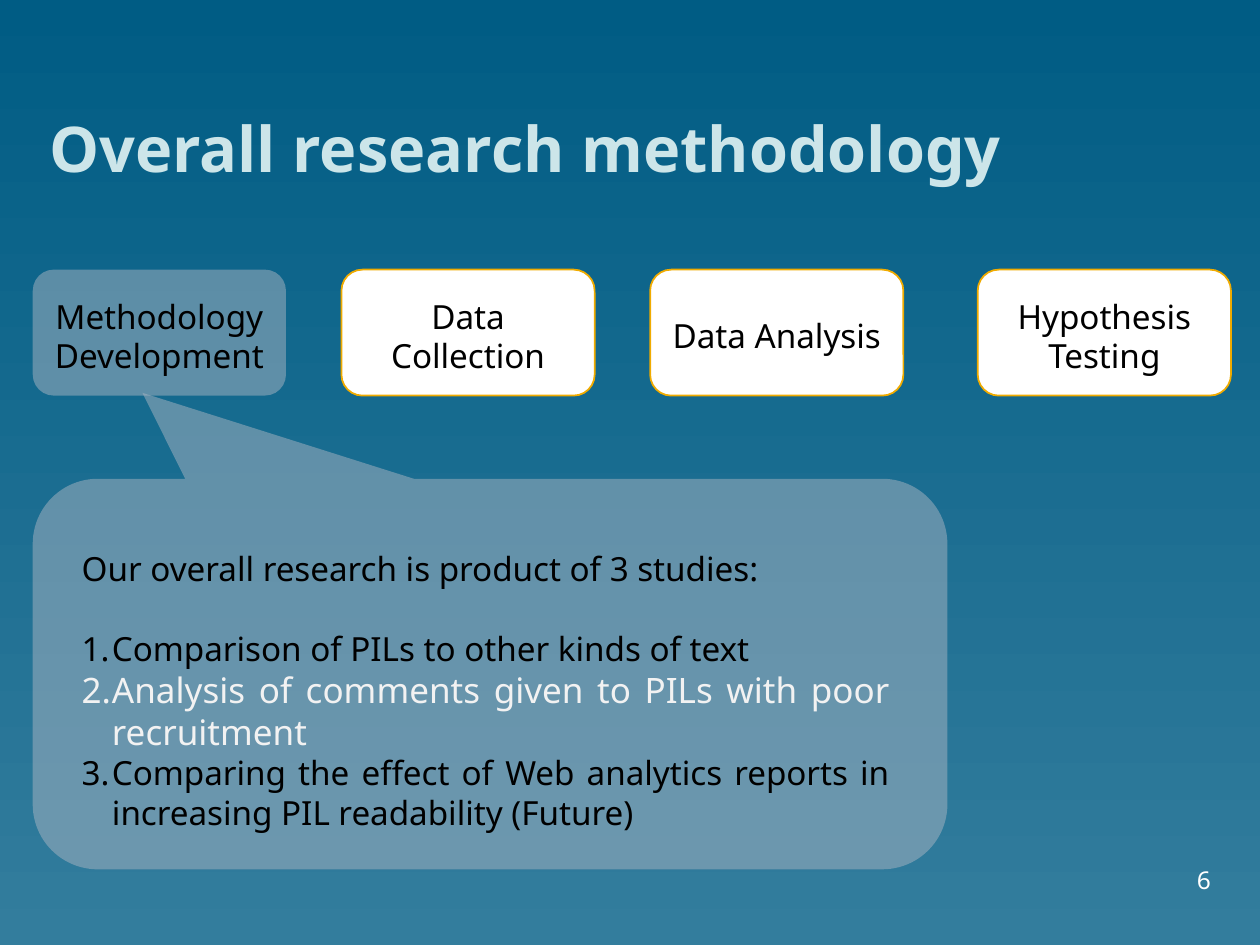
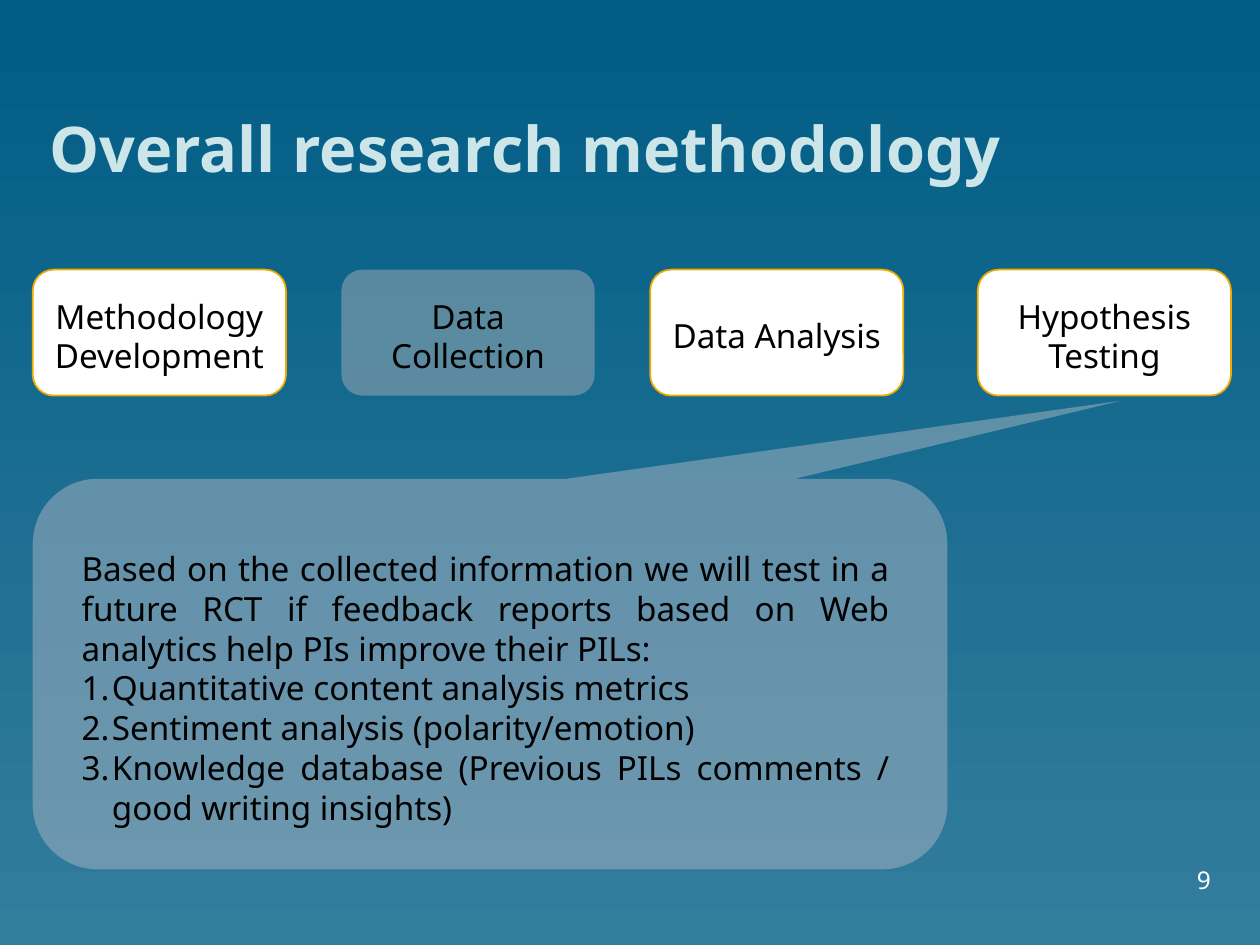
"""Build two slides that step through the overall research methodology."""
from lxml import etree
from pptx import Presentation
from pptx.dml.color import RGBColor
from pptx.enum.shapes import MSO_SHAPE
from pptx.enum.text import MSO_ANCHOR, PP_ALIGN
from pptx.oxml.ns import qn
from pptx.util import Inches, Pt

ROUND = MSO_SHAPE.ROUNDED_RECTANGLE
BUBBLE = MSO_SHAPE.ROUNDED_RECTANGULAR_CALLOUT
TOP, MIDDLE, BOTTOM = MSO_ANCHOR.TOP, MSO_ANCHOR.MIDDLE, MSO_ANCHOR.BOTTOM
LEFT, CENTER = PP_ALIGN.LEFT, PP_ALIGN.CENTER
RIGHT, JUSTIFY = PP_ALIGN.RIGHT, PP_ALIGN.JUSTIFY

FONT = "Noto Sans"
BLACK, WHITE, PALE = "000000", "FFFFFF", "F2F2F2"
MINT, GOLD, HAZE = "CCE5E9", "F0AB00", "AAB5C2"
SIZE = 19
STEPS = [
    (0.26, "Methodology Development"),
    (2.71, "Data Collection"),
    (5.16, "Data Analysis"),
    (7.76, "Hypothesis Testing"),
]
PAGES = [
    {
        "num": "6", "step": 0, "tint": HAZE, "tip": (-0.38, -0.72), "gap": 23,
        "lead": "Our overall research is product of 3 studies:",
        "items": [
            ("Comparison of PILs to other kinds of text", SIZE, BLACK),
            ("Analysis of comments given to PILs with poor recruitment", 20, PALE),
            ("Comparing the effect of Web analytics reports in increasing "
             "PIL readability (Future)", SIZE, BLACK),
        ],
    },
    {
        "num": "9", "step": 1, "tint": "A4AEB5", "tip": (0.69, -0.7), "gap": 0,
        "lead": "Based on the collected information we will test in a future RCT "
                "if feedback reports based on Web analytics help PIs improve their PILs:",
        "items": [
            ("Quantitative content analysis metrics", SIZE, BLACK),
            ("Sentiment analysis (polarity/emotion)", SIZE, BLACK),
            ("Knowledge database (Previous PILs comments / good writing insights)",
             SIZE, BLACK),
        ],
    },
]


def paint(fill, tone, alpha=None):
    fill.solid()
    fill.fore_color.rgb = RGBColor.from_string(tone)
    if alpha:
        node = fill._xPr.find(".//" + qn("a:srgbClr"))
        etree.SubElement(node, qn("a:alpha"), val=str(alpha * 1000))


def write(shape, lines, align, anchor, pads=(0, 0, 0, 0)):
    frame = shape.text_frame
    frame.word_wrap = True
    frame.vertical_anchor = anchor
    frame.margin_left, frame.margin_top, frame.margin_right, frame.margin_bottom = map(Inches, pads)
    for i, (text, size, tone, bold) in enumerate(lines):
        para = frame.add_paragraph() if i else frame.paragraphs[0]
        para.alignment = align
        run = para.add_run()
        run.text = text
        run.font.name = FONT
        run.font.size = Pt(size)
        run.font.bold = bold
        paint(run.font.fill, tone)
    return frame.paragraphs


prs = Presentation()
prs.slide_width, prs.slide_height = Inches(10), Inches(7.5)
back = prs.slide_master.background.fill
back.gradient()
back.gradient_angle = 270
for stop, place, tone in zip(back.gradient_stops, (0, 1), ("005C84", "337D9D")):
    stop.position = place
    stop.color.rgb = RGBColor.from_string(tone)

for page in PAGES:
    shapes = prs.slides.add_slide(prs.slide_layouts[6]).shapes
    title = shapes.add_textbox(Inches(0.39), 0, Inches(9.21), Inches(1.47))
    write(title, [("Overall research methodology", 36, MINT, True)], LEFT, BOTTOM)
    foot = shapes.add_textbox(Inches(7.52), Inches(6.9), Inches(2.09), Inches(0.2))
    write(foot, [(page["num"], 14, WHITE, False)], RIGHT, BOTTOM)

    for i, (x, name) in enumerate(STEPS):
        box = shapes.add_shape(ROUND, Inches(x), Inches(2.14), Inches(2.01), Inches(1))
        box.shadow.inherit = False
        if i == page["step"]:
            paint(box.fill, page["tint"], 50)
            box.line.fill.background()
        else:
            paint(box.fill, WHITE)
            paint(box.line.fill, GOLD)
            box.line.width = Pt(1)
        write(box, [(name, SIZE, BLACK, False)], CENTER, MIDDLE, (0.1, 0.05, 0.1, 0))

    bubble = shapes.add_shape(BUBBLE, Inches(0.26), Inches(3.8), Inches(7.26), Inches(3.1))
    bubble.shadow.inherit = False
    bubble.adjustments[0], bubble.adjustments[1] = page["tip"]
    paint(bubble.fill, HAZE, 50)
    bubble.line.fill.background()

    note = shapes.add_textbox(Inches(0.55), Inches(4.3), Inches(6.61), Inches(2.35))
    lines = [(page["lead"], SIZE, BLACK, False)]
    lines += [(*item, False) for item in page["items"]]
    paras = write(note, lines, JUSTIFY, TOP, (0.1, 0.05, 0.1, 0.05))
    for para, (text, size, tone) in zip(paras[1:], page["items"]):
        props = para._p.get_or_add_pPr()
        props.set("marL", str(Inches(0.24)))
        props.set("indent", str(Inches(-0.24)))
        color = etree.SubElement(props, qn("a:buClr"))
        etree.SubElement(color, qn("a:srgbClr"), val=tone)
        etree.SubElement(props, qn("a:buFont"), typeface=FONT)
        etree.SubElement(props, qn("a:buAutoNum"), type="arabicPeriod")
    if page["gap"]:
        paras[1].space_before = Pt(page["gap"])

prs.save("out.pptx")
